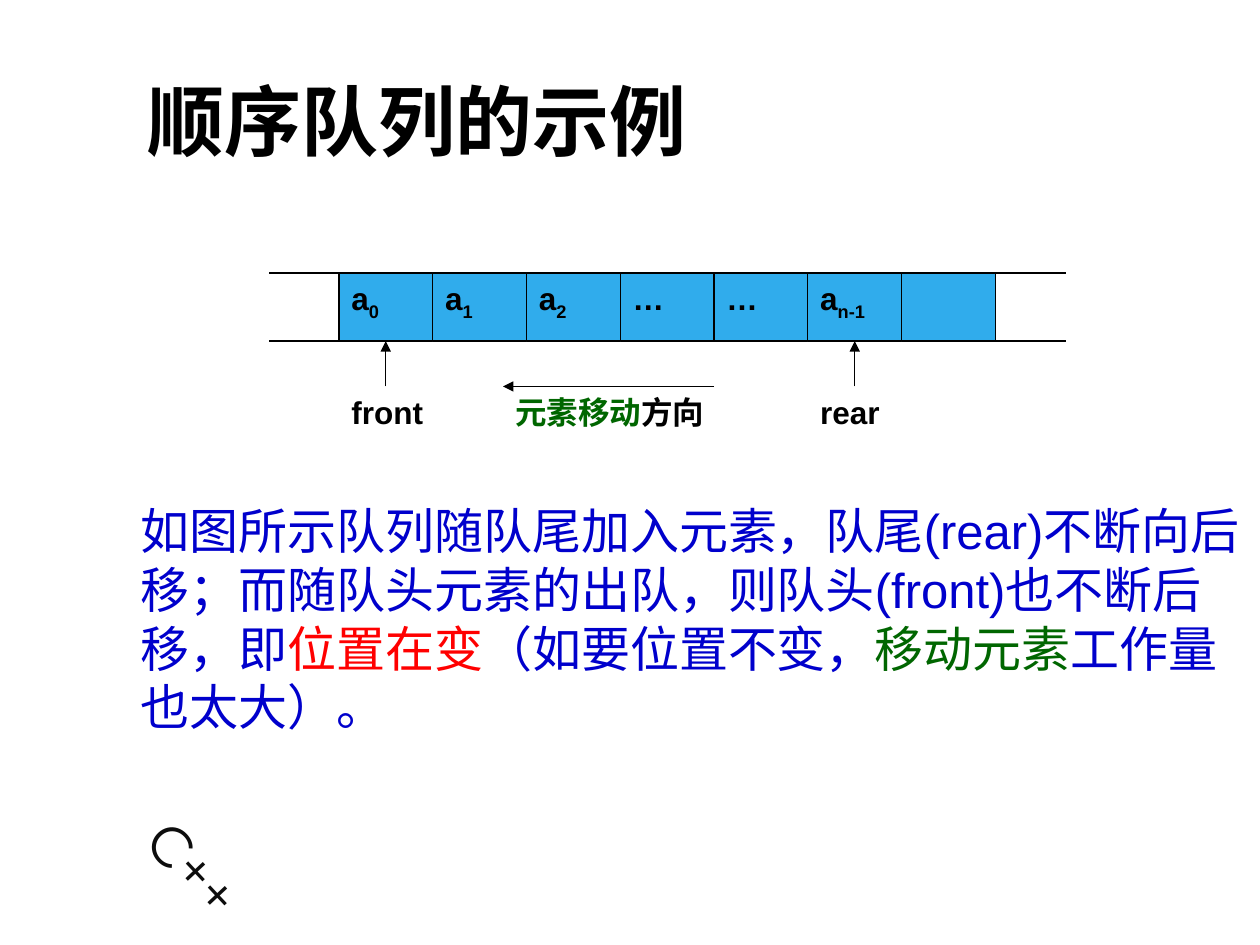
from lxml import etree
from pptx import Presentation
from pptx.dml.color import RGBColor
from pptx.enum.shapes import MSO_CONNECTOR, MSO_SHAPE
from pptx.enum.text import MSO_ANCHOR, PP_ALIGN
from pptx.oxml.ns import qn
from pptx.util import Inches, Pt

STRAIGHT = MSO_CONNECTOR.STRAIGHT
RECTANGLE = MSO_SHAPE.RECTANGLE
TOP, MIDDLE = MSO_ANCHOR.TOP, MSO_ANCHOR.MIDDLE
LEFT, JUSTIFY = PP_ALIGN.LEFT, PP_ALIGN.JUSTIFY
BOTTOM_SIDE = 2

BLACK = RGBColor(0x00, 0x00, 0x00)
INK = RGBColor(0x0D, 0x0D, 0x0D)
SKY = RGBColor(0x30, 0xAC, 0xEC)
GREEN = RGBColor(0x00, 0x66, 0x00)
BLUE = RGBColor(0x00, 0x00, 0xCC)
RED = RGBColor(0xFF, 0x00, 0x00)

WIDTH, HEIGHT = Inches(10), Inches(7.5)
LINE_WIDTH = Pt(0.75)
QUEUE = [("a", "0"), ("a", "1"), ("a", "2"), ("…", ""), ("…", ""), ("a", "n-1"), ("", "")]
FRONT, REAR = 0, 5


def share(left, top, width, height):
    """Turn shares of the slide's size into a box in EMU."""
    return round(left * WIDTH), round(top * HEIGHT), round(width * WIDTH), round(height * HEIGHT)


def write(frame, parts, size, color=BLACK, bold=False, align=LEFT, anchor=TOP, font="Arial"):
    """Fill a frame with one paragraph; parts are (text, own colour or None)."""
    frame.word_wrap = True
    frame.vertical_anchor = anchor
    paragraph = frame.paragraphs[0]
    paragraph.alignment = align
    paragraph.font.name = font
    paragraph.font.size = Pt(size)
    paragraph.font.bold = bold
    paragraph.font.color.rgb = color
    for text, own_color in parts:
        run = paragraph.add_run()
        run.text = text
        if own_color is not None:
            run.font.color.rgb = own_color
    return paragraph


def add_text(slide, box, parts, size, **style):
    label = slide.shapes.add_textbox(*box)
    write(label.text_frame, parts, size, **style)
    return label


def add_line(slide, start, end, arrow=False):
    line = slide.shapes.add_connector(STRAIGHT, *start, *end)
    line.line.color.rgb = BLACK
    line.line.width = LINE_WIDTH
    if arrow:
        etree.SubElement(line.line._get_or_add_ln(), qn("a:tailEnd"), type="triangle")
    etree.SubElement(line._element.spPr, qn("a:effectLst"))
    return line


def add_cell(slide, box, symbol, index):
    cell = slide.shapes.add_shape(RECTANGLE, *box)
    cell.shadow.inherit = False
    cell.fill.solid()
    cell.fill.fore_color.rgb = SKY
    cell.line.color.rgb = BLACK
    cell.line.width = LINE_WIDTH
    if symbol:
        paragraph = write(cell.text_frame, [(symbol, None)], 18, bold=True, align=JUSTIFY)
        if index:
            subscript = paragraph.add_run()
            subscript.text = index
            subscript._r.get_or_add_rPr().set("baseline", "-25000")
    return cell


def add_queue(slide, box):
    """Cells, open ends, pointers and movement arrow; the box spans the cells."""
    left, top, width, row = box
    column = width / len(QUEUE)

    def at(columns, rows):
        return round(left + columns * column), round(top + rows * row)

    def label_box(columns, span):
        return *at(columns, label_row), round(span * column), row

    label_row = 5 / 3
    cells = [add_cell(slide, (*at(i, 0), round(column), row), *entry)
             for i, entry in enumerate(QUEUE)]
    for edge, outer in ((0, -0.75), (len(QUEUE), len(QUEUE) + 0.75)):
        for rail in (0, 1):
            add_line(slide, at(edge, rail), at(outer, rail))

    for index, name, span in ((FRONT, "front", 1.2), (REAR, "rear", 1)):
        add_text(slide, label_box(index, span), [(name, None)], 18, bold=True, align=JUSTIFY)
        pointer = add_line(slide, at(index + 0.5, label_row), at(index + 0.5, 1), arrow=True)
        pointer.end_connect(cells[index], BOTTOM_SIDE)

    add_text(slide, label_box(1.75, 2.5), [("元素移动", GREEN), ("方向", None)], 18,
             bold=True, align=JUSTIFY)
    add_line(slide, at(4, label_row), at(1.75, label_row), arrow=True)


def add_language_mark(slide, box):
    mark = add_text(slide, box, [("C++", None)], 32, color=INK, font="Montserrat")
    mark.rotation = 46.9


def add_explanation(slide, box):
    add_text(slide, box, [
        ("如图所示队列随队尾加入元素，队尾(rear)不断向后移；"
         "而随队头元素的出队，则队头(front)也不断后移，即", None),
        ("位置在变", RED),
        ("（如要位置不变，", None),
        ("移动元素", GREEN),
        ("工作量也太大）。", None),
    ], 28, color=BLUE)


def main():
    deck = Presentation()
    deck.slide_width, deck.slide_height = WIDTH, HEIGHT
    slide = deck.slides.add_slide(deck.slide_layouts[6])
    add_language_mark(slide, share(0.094, 0.904, 0.161, 0.085))
    add_text(slide, share(0.107, 0.039, 0.843, 0.176), [("顺序队列的示例", None)], 44,
             bold=True, anchor=MIDDLE)
    add_queue(slide, share(0.269, 0.289, 0.521, 0.072))
    add_explanation(slide, share(0.102, 0.523, 0.898, 0.265))
    deck.save("out.pptx")


if __name__ == "__main__":
    main()
